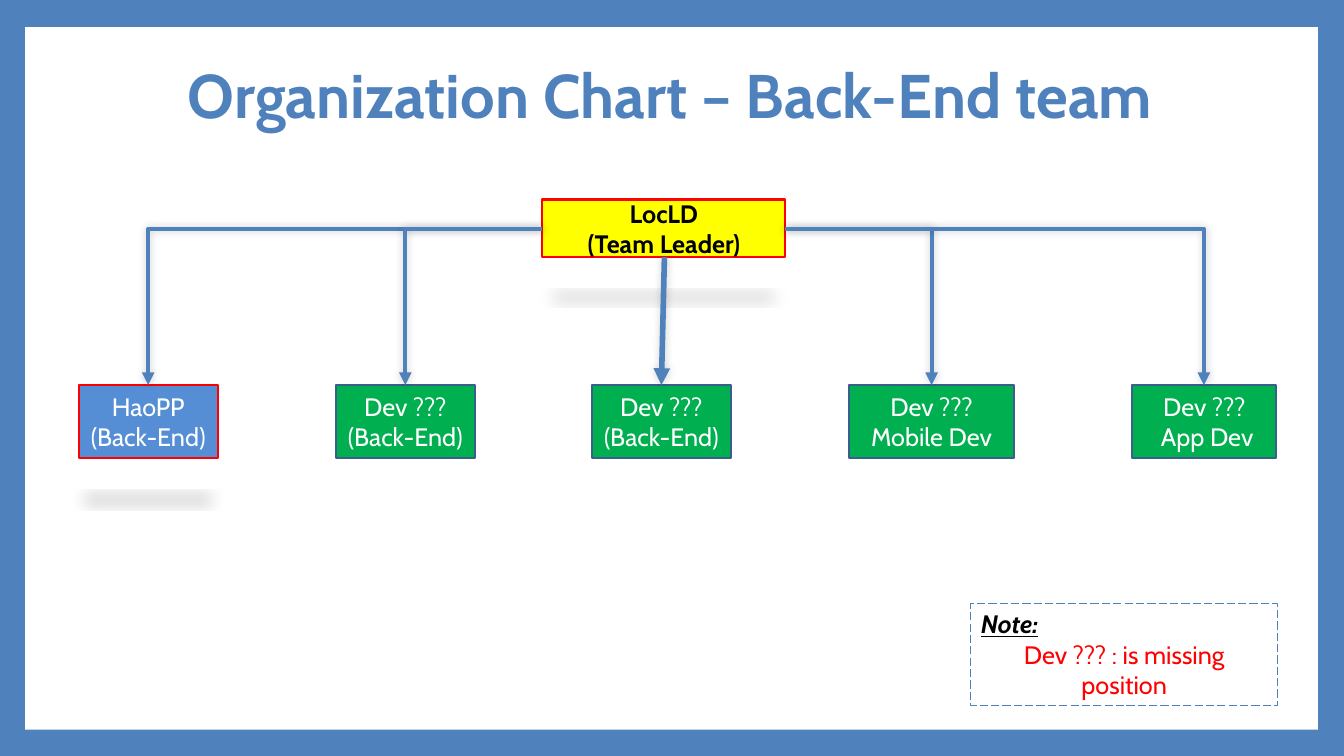
from dataclasses import dataclass

from lxml import etree
from pptx import Presentation
from pptx import util as u
from pptx.dml.color import RGBColor
from pptx.enum import dml, shapes, text
from pptx.oxml.ns import qn

PX = 9144  # EMU per px, 100 px to the inch
BLUE, WHITE, BLACK, RED = "4F81BD", "FFFFFF", "000000", "FF0000"
GREEN, NAVY, SKY, YELLOW = "00B050", "3A5F8C", "558ED5", "FFFF00"
MID, LEFT = text.PP_ALIGN.CENTER, text.PP_ALIGN.LEFT

# Shadow formats: alpha in percent, then attributes of the effect
DROP = (15, dict(blurRad="152400", dist="317500", dir="5400000",
                 sx="90000", sy="-19000", rotWithShape="0"))
GLOW = (20, dict(blurRad="76200", dir="18900000", rotWithShape="0"))


@dataclass
class Line:
    words: str
    font: dict
    align: int = MID


@dataclass
class Box:
    x: int
    y: int
    w: int
    h: int
    lines: tuple = ()
    fill: str | None = None
    edge: str | None = None
    width: float = 1.5
    shade: tuple | None = None


def rgb(code: str) -> RGBColor:
    return RGBColor.from_string(code)


def style(color: str, size: int = 18, **more) -> dict:
    return {"name": "Cabin", "size": u.Pt(size), "color": color, **more}


def add_shade(props, shade: tuple) -> None:
    alpha, attrs = shade
    effect = props.find(qn("a:effectLst"))
    if effect is None:
        effect = etree.SubElement(props, qn("a:effectLst"))
    outer = etree.SubElement(effect, qn("a:outerShdw"), attrs)
    tint = etree.SubElement(outer, qn("a:srgbClr"), val=BLACK)
    etree.SubElement(tint, qn("a:alpha"), val=str(alpha * 1000))


def write(frame, lines: tuple) -> None:
    frame.word_wrap = True
    for i, line in enumerate(lines):
        para = frame.add_paragraph() if i else frame.paragraphs[0]
        para.alignment = line.align
        run = para.add_run()
        run.text = line.words
        for key, value in line.font.items():
            if key == "color":
                run.font.color.rgb = rgb(value)
            else:
                setattr(run.font, key, value)


def draw_box(slide, box: Box):
    shape = slide.shapes.add_shape(
        shapes.MSO_SHAPE.RECTANGLE, *(n * PX for n in (box.x, box.y, box.w, box.h)))
    shape.shadow.inherit = False
    for paint, code in ((shape.fill, box.fill), (shape.line.fill, box.edge)):
        if code:
            paint.solid()
            paint.fore_color.rgb = rgb(code)
        else:
            paint.background()
    if box.edge:
        shape.line.width = u.Pt(box.width)
    if box.shade:
        add_shade(shape._element.spPr, box.shade)
    shape.text_frame.vertical_anchor = text.MSO_ANCHOR.MIDDLE
    write(shape.text_frame, box.lines)
    return shape


def draw_arrow(slide, start: tuple, end: tuple, width: int, bent: bool) -> None:
    kind = shapes.MSO_CONNECTOR.ELBOW if bent else shapes.MSO_CONNECTOR.STRAIGHT
    arrow = slide.shapes.add_connector(kind, *(n * PX for n in start + end))
    arrow.line.color.rgb = rgb(BLUE)
    arrow.line.width = u.Pt(width)
    props = arrow._element.spPr
    if bent:  # one corner only
        props.find(qn("a:prstGeom")).set("prst", "bentConnector2")
    etree.SubElement(props.find(qn("a:ln")), qn("a:tailEnd"), type="triangle")
    add_shade(props, GLOW)


def main() -> None:
    deck = Presentation()
    deck.slide_width, deck.slide_height = 1333 * PX, 750 * PX
    slide = deck.slides.add_slide(deck.slide_layouts[6])

    # Blue frame around a white page
    slide.background.fill.solid()
    slide.background.fill.fore_color.rgb = rgb(BLUE)
    draw_box(slide, Box(25, 27, 1282, 697, fill=WHITE))

    # Title
    head = slide.shapes.add_textbox(*(n * PX for n in (125, 60, 1080, 76))).text_frame
    head.vertical_anchor = text.MSO_ANCHOR.MIDDLE
    write(head, (Line("Organization Chart – Back-End team", style(BLUE, 44, bold=True)),))
    head.paragraphs[0].line_spacing = 0.9

    # Leader
    bold = style(BLACK, bold=True)
    lead = Box(538, 198, 241, 57, (Line("LocLD", bold), Line("(Team Leader)", bold)),
               YELLOW, RED, shade=DROP)
    draw_box(slide, lead)

    # Team: left, width, name, role
    top, plain = 382, style(WHITE)
    team = []
    for x, w, name, role in ((78, 138, "HaoPP", "(Back-End)"),
                             (333, 138, "Dev ???", "(Back-End)"),
                             (587, 138, "Dev ???", "(Back-End)"),
                             (842, 164, "Dev ???", "Mobile Dev"),
                             (1123, 143, "Dev ???", " App Dev")):
        look = (GREEN, NAVY) if name == "Dev ???" else (SKY, RED)
        box = Box(x, top, w, 72, (Line(name, plain), Line(role, plain)), *look)
        box.shade = None if name == "Dev ???" else DROP
        draw_box(slide, box)
        team.append(box)

    # Arrows leave the leader's nearest side
    side, right = lead.y + lead.h // 2 + 1, lead.x + lead.w
    for box in team:
        end = (box.x + box.w // 2, top)
        if lead.x < end[0] < right:
            draw_arrow(slide, (lead.x + lead.w // 2 + 1, lead.y + lead.h), end, 4, False)
        else:
            edge = lead.x if end[0] < lead.x else right
            draw_arrow(slide, (edge, side), end, 3, True)

    # Note
    note = draw_box(slide, Box(963, 599, 304, 101, (
        Line("Note:", style(BLACK, bold=True, italic=True, underline=True), LEFT),
        Line("Dev ??? : is missing position", style(RED))), edge=BLUE, width=0.75))
    note.line.dash_style = dml.MSO_LINE.LONG_DASH
    note.text_frame.vertical_anchor = text.MSO_ANCHOR.TOP
    note.text_frame.auto_size = text.MSO_AUTO_SIZE.SHAPE_TO_FIT_TEXT

    deck.save("out.pptx")


if __name__ == "__main__":
    main()
